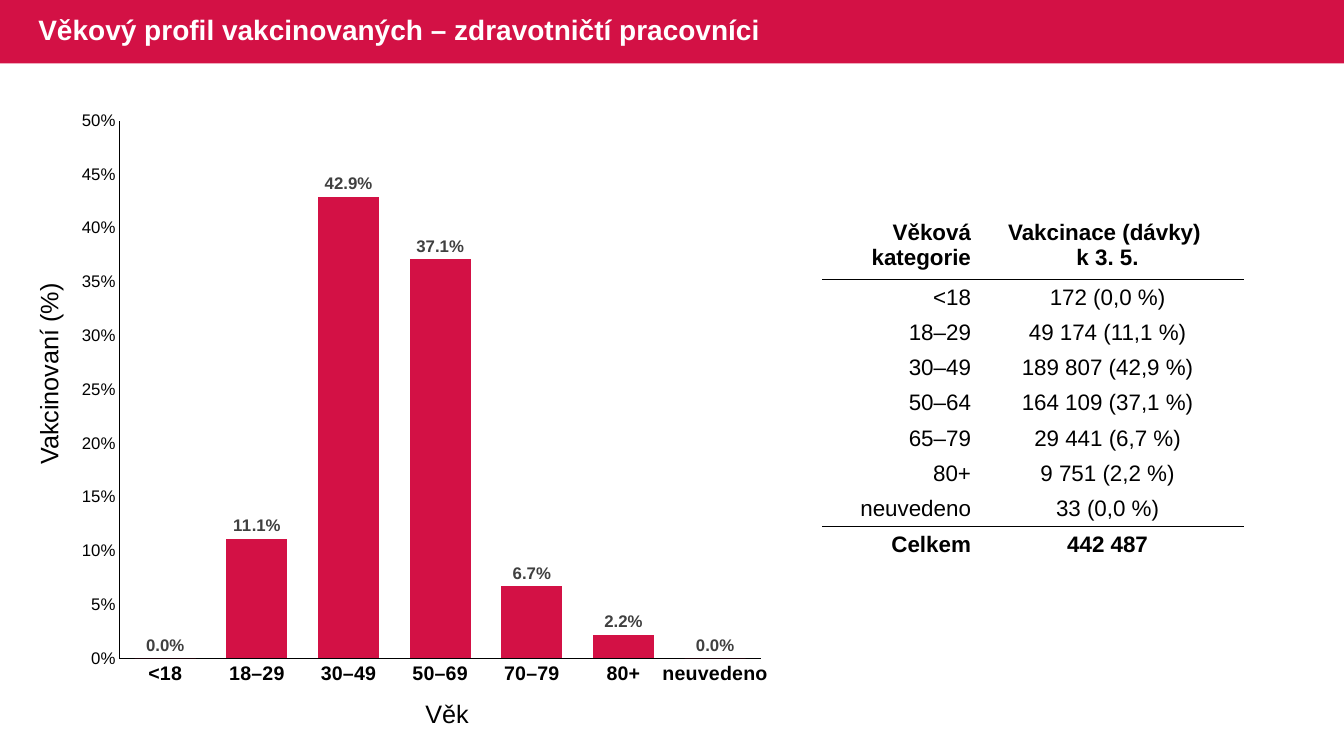
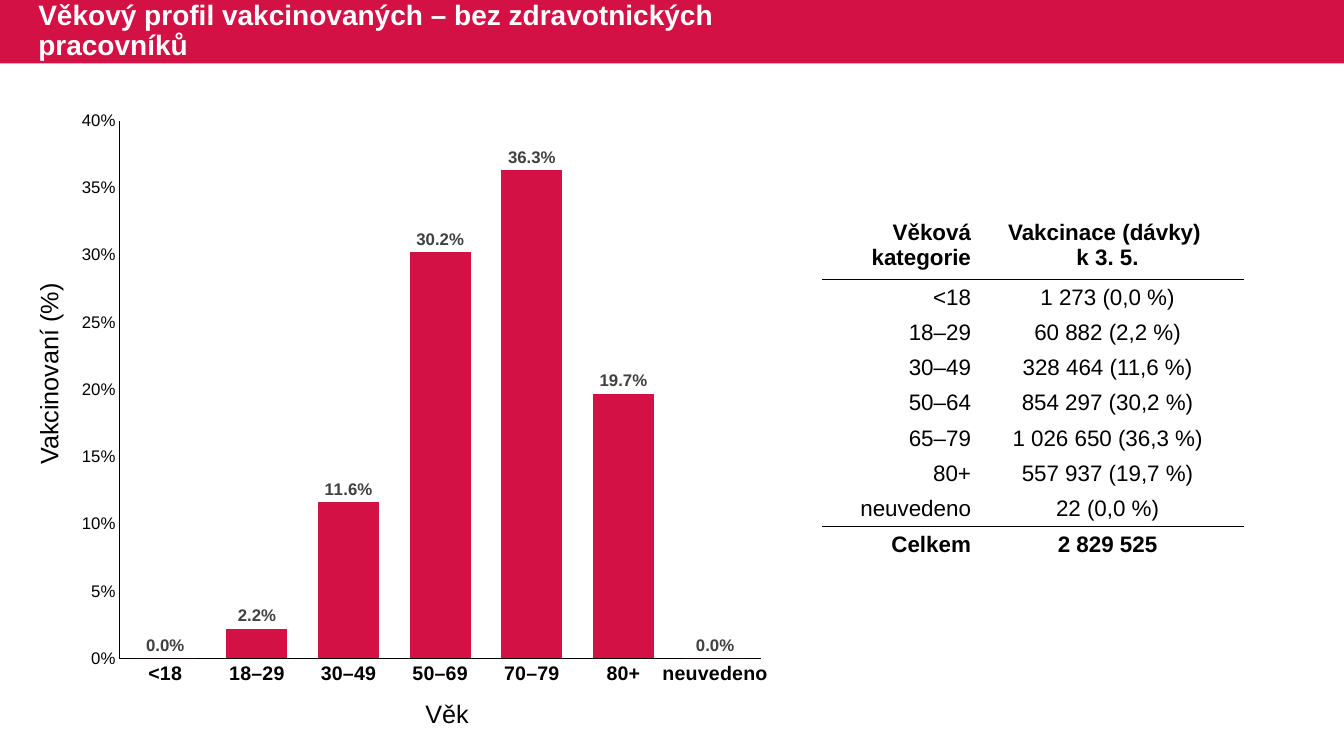
"""Build two slides on the age profile of vaccinated people."""
from lxml import etree
from pptx import Presentation
from pptx.chart.data import CategoryChartData
from pptx.dml.color import RGBColor
from pptx.enum.chart import XL_CHART_TYPE, XL_LABEL_POSITION, XL_TICK_MARK
from pptx.enum.shapes import MSO_SHAPE
from pptx.enum.text import MSO_ANCHOR, MSO_AUTO_SIZE, PP_ALIGN
from pptx.oxml.ns import qn
from pptx.util import Inches, Pt

COLUMN = XL_CHART_TYPE.COLUMN_CLUSTERED
ABOVE = XL_LABEL_POSITION.OUTSIDE_END
NO_TICK = XL_TICK_MARK.NONE
RECT = MSO_SHAPE.RECTANGLE
MIDDLE = MSO_ANCHOR.MIDDLE
FIT, FIXED = MSO_AUTO_SIZE.SHAPE_TO_FIT_TEXT, MSO_AUTO_SIZE.NONE
LEFT, CENTER, RIGHT = PP_ALIGN.LEFT, PP_ALIGN.CENTER, PP_ALIGN.RIGHT

RED, WHITE, BLACK, GRAY = "D31145", "FFFFFF", "000000", "404040"
FONT = "Arial"
WIDE, HIGH, BAND = 13.33, 7.5, 0.63
CHART = (0.69, 0.96, 7.07, 5.93)
PLOT = {"x": 0.07, "y": 0.04, "w": 0.9, "h": 0.9}
TABLE = (8.16, 2.09, 4.17, 3.45)
COLS, HEAD_ROW, ROW = (1.48, 2.69), 0.68, 0.35
TITLE = (0.28, 0, 8.13, BAND)

BARS = ["<18", "18–29", "30–49", "50–69", "70–79", "80+", "neuvedeno"]
AGES = ["<18", "18–29", "30–49", "50–64", "65–79", "80+", "neuvedeno"]
HEAD = ("Věková kategorie", "Vakcinace (dávky) \nk 3. 5.")
LABELS = [("Věk", (4.12, 6.88, 0.64, 0.4), 0),
          ("Vakcinovaní (%)", (-0.53, 3.5, 2.02, 0.4), 270)]
SLIDES = [
    {"title": "Věkový profil vakcinovaných – zdravotničtí pracovníci",
     "top": 0.5,
     "shares": [0, 0.111, 0.429, 0.371, 0.067, 0.022, 0],
     "doses": ["172 (0,0 %)", "49 174 (11,1 %)", "189 807 (42,9 %)",
               "164 109 (37,1 %)", "29 441 (6,7 %)", "9 751 (2,2 %)",
               "33 (0,0 %)"],
     "total": "442 487"},
    {"title": "Věkový profil vakcinovaných – bez zdravotnických pracovníků",
     "top": 0.4,
     "shares": [0, 0.022, 0.116, 0.302, 0.363, 0.197, 0],
     "doses": ["1 273 (0,0 %)", "60 882 (2,2 %)", "328 464 (11,6 %)",
               "854 297 (30,2 %)", "1 026 650 (36,3 %)", "557 937 (19,7 %)",
               "22 (0,0 %)"],
     "total": "2 829 525"},
]


def color(code):
    """Turn a hex string into a colour."""
    return RGBColor.from_string(code)


def apply(item, **traits):
    """Set each named attribute on an object."""
    for name, value in traits.items():
        setattr(item, name, value)


def style(font, size, bold=False, code=BLACK):
    """Format a font."""
    apply(font, name=FONT, size=Pt(size), bold=bold)
    font.color.rgb = color(code)


def place(box):
    """Turn a box in inches into lengths."""
    return [Inches(part) for part in box]


def add_band(slide, layout):
    """Put the title band on the shared layout."""
    band = slide.shapes.add_shape(RECT, *place((0, 0, WIDE, BAND)))
    band.shadow.inherit = False
    band.fill.solid()
    band.fill.fore_color.rgb = color(RED)
    band.line.fill.background()
    layout.shapes._spTree.insert(2, band._element)


def set_title(slide, text):
    """Place and format the title."""
    title = slide.shapes.title
    apply(title, **dict(zip(("left", "top", "width", "height"), place(TITLE))))
    frame = title.text_frame
    frame.text = text
    apply(frame, vertical_anchor=MIDDLE, word_wrap=True, auto_size=FIXED)
    line = frame.paragraphs[0]
    apply(line, alignment=LEFT, line_spacing=0.9)
    style(line.runs[0].font, 20, True, WHITE)


def set_plot(chart):
    """Fix the inner plot area as shares of the chart."""
    area = chart._chartSpace.find(".//" + qn("c:plotArea"))
    for old in area.findall(qn("c:layout")):
        area.remove(old)
    layout = etree.Element(qn("c:layout"))
    area.insert(0, layout)
    manual = etree.SubElement(layout, qn("c:manualLayout"))
    modes = {"layoutTarget": "inner", "xMode": "edge", "yMode": "edge"}
    for name, value in {**modes, **PLOT}.items():
        etree.SubElement(manual, qn("c:" + name)).set("val", str(value))


def add_bars(slide, shares, top):
    """Draw the column chart."""
    data = CategoryChartData()
    data.categories = BARS
    data.add_series("Series 1", shares)
    chart = slide.shapes.add_chart(COLUMN, *place(CHART), data).chart
    apply(chart, has_legend=False, has_title=False)
    style(chart.font, 10)
    set_plot(chart)
    for axis, size, bold in ((chart.category_axis, 14, True),
                             (chart.value_axis, 12, False)):
        apply(axis, has_major_gridlines=False, major_tick_mark=NO_TICK,
              minor_tick_mark=NO_TICK)
        style(axis.tick_labels.font, size, bold)
        axis.format.line.width = Pt(0.75)
        axis.format.line.color.rgb = color(BLACK)
    apply(chart.value_axis, minimum_scale=0, maximum_scale=top, major_unit=0.05)
    apply(chart.value_axis.tick_labels, number_format="0%",
          number_format_is_linked=False)
    plot = chart.plots[0]
    apply(plot, gap_width=50, overlap=-27, vary_by_categories=False)
    series = plot.series[0]
    series.invert_if_negative = False
    series.format.fill.solid()
    series.format.fill.fore_color.rgb = color(RED)
    labels = series.data_labels
    apply(labels, show_value=True, position=ABOVE, number_format="0.0%",
          number_format_is_linked=False)
    style(labels.font, 12, True, GRAY)


def add_label(slide, text, box, turn):
    """Add an axis title."""
    label = slide.shapes.add_textbox(*place(box))
    label.rotation = turn
    frame = label.text_frame
    frame.text = text
    apply(frame, word_wrap=False, auto_size=FIT)
    style(frame.paragraphs[0].runs[0].font, 18)


def set_edges(cell, above, below):
    """Draw the four borders of a cell."""
    props = cell._tc.get_or_add_tcPr()
    for side, code in zip("LRTB", (WHITE, WHITE, above, below)):
        edge = etree.SubElement(props, qn("a:ln" + side), w=str(Pt(1)))
        fill = etree.SubElement(edge, qn("a:solidFill"))
        etree.SubElement(fill, qn("a:srgbClr"), val=code)


def add_doses(slide, doses, total):
    """Draw the table of doses by age."""
    rows = [HEAD, *zip(AGES, doses), ("Celkem", total)]
    last = len(rows) - 1
    ruled = (1, last)
    table = slide.shapes.add_table(len(rows), len(COLS), *place(TABLE)).table
    apply(table, first_row=False, horz_banding=False)
    for col, width in zip(table.columns, COLS):
        col.width = Inches(width)
    for i, row in enumerate(rows):
        table.rows[i].height = Inches(ROW if i else HEAD_ROW)
        above, below = (BLACK if n in ruled else WHITE for n in (i, i + 1))
        for j, text in enumerate(row):
            cell = table.cell(i, j)
            cell.text = text
            side = Inches(0.01)
            apply(cell, vertical_anchor=MIDDLE, margin_left=side,
                  margin_right=side, margin_top=side, margin_bottom=0)
            set_edges(cell, above, below)
            cell.fill.solid()
            cell.fill.fore_color.rgb = color(WHITE)
            for line in cell.text_frame.paragraphs:
                line.alignment = CENTER if j else RIGHT
                style(line.runs[0].font, 16, i in (0, last))


def main():
    """Build and save the deck."""
    deck = Presentation()
    apply(deck, slide_width=Inches(WIDE), slide_height=Inches(HIGH))
    layout = deck.slide_layouts[5]
    for n, item in enumerate(SLIDES):
        slide = deck.slides.add_slide(layout)
        if n == 0:
            add_band(slide, layout)
        set_title(slide, item["title"])
        add_bars(slide, item["shares"], item["top"])
        for label in LABELS:
            add_label(slide, *label)
        add_doses(slide, item["doses"], item["total"])
    deck.save("out.pptx")


if __name__ == "__main__":
    main()
